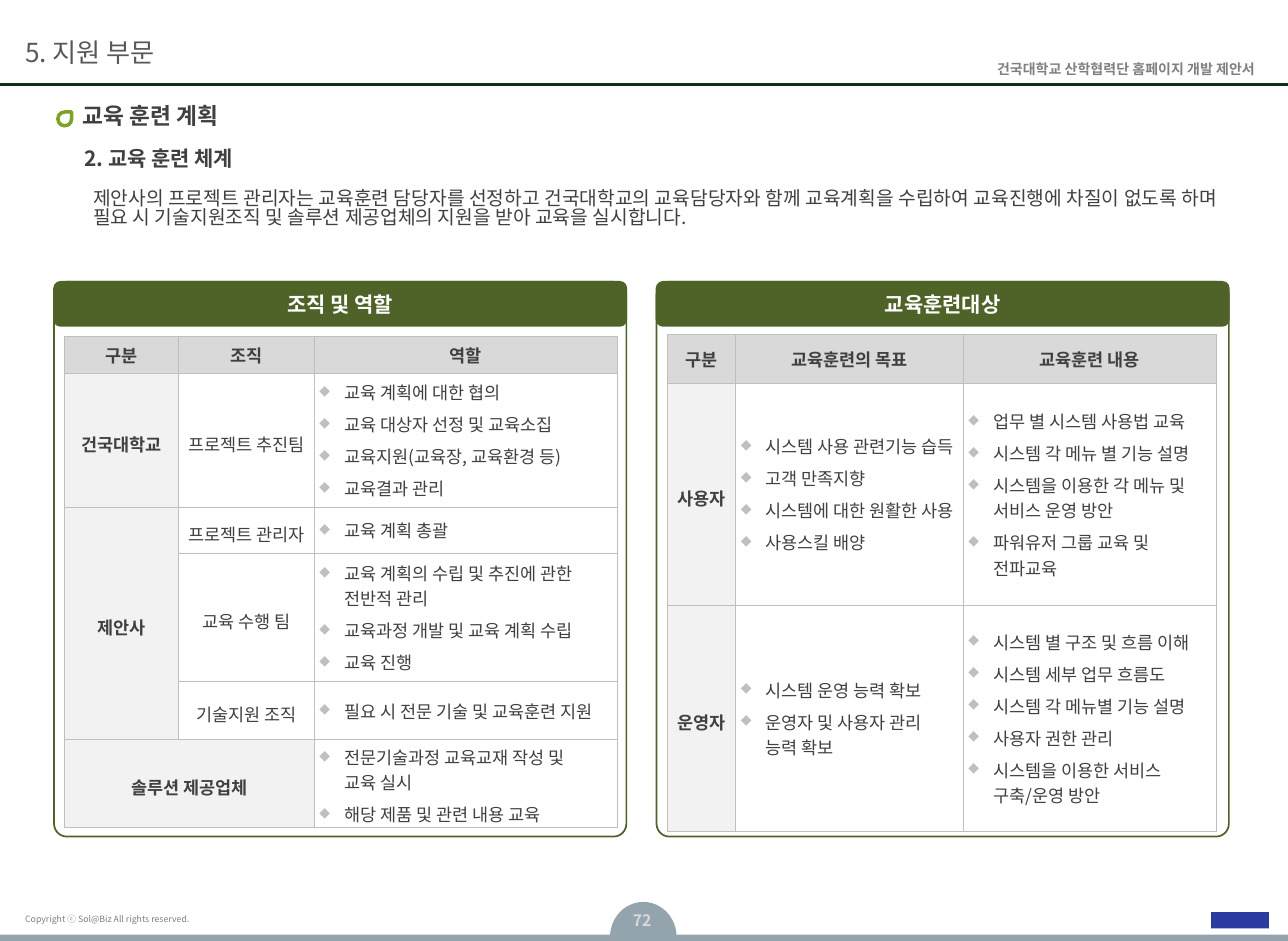
from lxml import etree
from pptx import Presentation
from pptx.dml.color import RGBColor
from pptx.enum.shapes import MSO_CONNECTOR, MSO_SHAPE
from pptx.enum.text import MSO_ANCHOR, PP_ALIGN
from pptx.oxml import parse_xml
from pptx.oxml.ns import nsdecls, qn
from pptx.util import Inches, Pt

LEFT, CENTER, RIGHT = PP_ALIGN.LEFT, PP_ALIGN.CENTER, PP_ALIGN.RIGHT
MIDDLE = MSO_ANCHOR.MIDDLE
RECT, ROUNDED = MSO_SHAPE.RECTANGLE, MSO_SHAPE.ROUNDED_RECTANGLE
CHORD, TEARDROP = MSO_SHAPE.CHORD, MSO_SHAPE.TEAR
STRAIGHT = MSO_CONNECTOR.STRAIGHT

KOREAN_FONT = "Noto Sans CJK KR"
INK, GRAY, SLATE, GREEN, WHITE = "404040", "808080", "93A4AE", "4F6228", "FFFFFF"
HEAD_FILL, LABEL_FILL, SOFT = "D9D9D9", "F2F2F2", "BFBFBF"

PANEL_TOP, PANEL_WIDTH = 2.24, 4.55

ROLES = [
    ["구분", "조직", "역할"],
    ["건국대학교", "프로젝트 추진팀",
     ["교육 계획에 대한 협의", "교육 대상자 선정 및 교육소집",
      "교육지원(교육장, 교육환경 등)", "교육결과 관리"]],
    ["제안사", "프로젝트 관리자", ["교육 계획 총괄"]],
    ["", "교육 수행 팀",
     ["교육 계획의 수립 및 추진에 관한 전반적 관리",
      "교육과정 개발 및 교육 계획 수립", "교육 진행"]],
    ["", "기술지원 조직", ["필요 시 전문 기술 및 교육훈련 지원"]],
    ["솔루션 제공업체", "",
     ["전문기술과정 교육교재 작성 및\n교육 실시", "해당 제품 및 관련 내용 교육"]],
]
TRAINEES = [
    ["구분", "교육훈련의 목표", "교육훈련 내용"],
    ["사용자",
     ["시스템 사용 관련기능 습득", "고객 만족지향",
      "시스템에 대한 원활한 사용", "사용스킬 배양"],
     ["업무 별 시스템 사용법 교육", "시스템 각 메뉴 별 기능 설명",
      "시스템을 이용한 각 메뉴 및\n서비스 운영 방안",
      "파워유저 그룹 교육 및 전파교육"]],
    ["운영자",
     ["시스템 운영 능력 확보", "운영자 및 사용자 관리\n능력 확보"],
     ["시스템 별 구조 및 흐름 이해", "시스템 세부 업무 흐름도",
      "시스템 각 메뉴별 기능 설명", "사용자 권한 관리",
      "시스템을 이용한 서비스\n구축/운영 방안"]],
]


def rgb(hex_color):
    return RGBColor.from_string(hex_color)


def add_text(paragraph, text, size, color=INK, bold=False, font=KOREAN_FONT):
    for i, line in enumerate(text.split("\n")):
        if i:
            paragraph.add_line_break()
        run = paragraph.add_run()
        run.text = line
        run.font.size, run.font.bold, run.font.name = Pt(size), bold, font
        run.font.color.rgb = rgb(color)
        east_asian = etree.SubElement(run.font._element, qn("a:ea"))
        east_asian.set("typeface", KOREAN_FONT)


def set_margins(box, side, vertical):
    box.margin_left = box.margin_right = Inches(side)
    box.margin_top = box.margin_bottom = Inches(vertical)


def add_label(slide, at, text, size, color=INK, bold=False, align=LEFT,
              font=KOREAN_FONT, spacing=None):
    frame = slide.shapes.add_textbox(*map(Inches, at)).text_frame
    frame.word_wrap = True
    set_margins(frame, 0, 0)
    paragraph = frame.paragraphs[0]
    paragraph.alignment, paragraph.line_spacing = align, spacing
    add_text(paragraph, text, size, color, bold, font)


def add_block(slide, kind, at, fill, line=None, width=1, adjustments=()):
    block = slide.shapes.add_shape(kind, *map(Inches, at))
    block.shadow.inherit = False
    block.fill.solid()
    block.fill.fore_color.rgb = rgb(fill)
    if line:
        block.line.color.rgb = rgb(line)
        block.line.width = Pt(width)
    else:
        block.line.fill.background()
    for i, value in enumerate(adjustments):
        block.adjustments[i] = value
    return block


def add_rule(slide, y, color, width):
    rule = slide.shapes.add_connector(
        STRAIGHT, 0, Inches(y), Inches(10.24), Inches(y))
    rule.line.color.rgb = rgb(color)
    rule.line.width = Pt(width)
    etree.SubElement(rule._element.spPr, qn("a:effectLst"))


def add_panel(slide, left, heading):
    add_block(slide, ROUNDED, (left, PANEL_TOP, PANEL_WIDTH, 4.41),
              WHITE, GREEN, adjustments=[0.023])
    bar = add_block(slide, ROUNDED, (left, PANEL_TOP, PANEL_WIDTH, 0.35),
                    GREEN, GREEN, adjustments=[0.15])
    bar.text_frame.vertical_anchor = MIDDLE
    paragraph = bar.text_frame.paragraphs[0]
    paragraph.alignment = CENTER
    add_text(paragraph, heading, 12, WHITE, True)


def add_bullet(paragraph):
    props = paragraph._p.get_or_add_pPr()
    props.set("marL", str(Inches(0.2)))
    props.set("indent", str(-Inches(0.2)))
    for xml in (f'<a:buClr {nsdecls("a")}><a:srgbClr val="{SOFT}"/></a:buClr>',
                f'<a:buSzPct {nsdecls("a")} val="80000"/>',
                f'<a:buChar {nsdecls("a")} char="◆"/>'):
        props.append(parse_xml(xml))


def style_cell(cell, fill):
    for side in ("lnL", "lnR", "lnT", "lnB"):
        cell._tc.get_or_add_tcPr().append(parse_xml(
            f'<a:{side} {nsdecls("a")} w="{Pt(0.5)}"><a:solidFill>'
            f'<a:srgbClr val="{SOFT}"/></a:solidFill></a:{side}>'))
    cell.fill.solid()
    cell.fill.fore_color.rgb = rgb(fill)
    cell.vertical_anchor = MIDDLE
    set_margins(cell, 0.04, 0.04)


def fill_cell(cell, content, is_head, is_label):
    style_cell(cell, HEAD_FILL if is_head else LABEL_FILL if is_label else WHITE)
    frame = cell.text_frame
    if isinstance(content, list):
        for i, item in enumerate(content):
            paragraph = frame.add_paragraph() if i else frame.paragraphs[0]
            add_bullet(paragraph)
            if i:
                paragraph.space_before = Pt(3.9)
            add_text(paragraph, item, 10)
    elif content:
        paragraph = frame.paragraphs[0]
        paragraph.alignment = CENTER
        if not is_head:
            paragraph.line_spacing = 1.3
        add_text(paragraph, content, 10, bold=is_head or is_label)


def add_grid(slide, left, top, widths, heights, rows, merges=()):
    table = slide.shapes.add_table(
        len(rows), len(widths), Inches(left), Inches(top),
        Inches(sum(widths)), Inches(sum(heights))).table
    for column, width in zip(table.columns, widths):
        column.width = Inches(width)
    for row, height in zip(table.rows, heights):
        row.height = Inches(height)
    for start, end in merges:
        table.cell(*start).merge(table.cell(*end))
    for r, row in enumerate(rows):
        for c, content in enumerate(row):
            fill_cell(table.cell(r, c), content, r == 0, c == 0)


def main():
    prs = Presentation()
    prs.slide_width, prs.slide_height = Inches(10.24), Inches(7.48)
    slide = prs.slides.add_slide(prs.slide_layouts[6])

    # Footer
    add_block(slide, CHORD, (4.85, 7.17, 0.53, 0.56), SLATE,
              adjustments=[108.411, 214.657])
    add_label(slide, (0.2, 7.26, 2.5, 0.12),
              "Copyright ⓒ Sol@Biz All rights reserved.", 5, GRAY)
    add_block(slide, RECT, (0, 7.43, 10.24, 0.05), SLATE)
    add_label(slide, (4.85, 7.24, 0.51, 0.19), "72", 9, HEAD_FILL, True, CENTER)
    add_block(slide, RECT, (9.63, 7.25, 0.46, 0.13), "293B9F")

    # Page header
    add_rule(slide, 0.67, "093019", 1.5)
    add_label(slide, (7.47, 0.48, 2.51, 0.17),
              "건국대학교 산학협력단 홈페이지 개발 제안서", 8, GRAY, True, RIGHT, "Arial")
    add_label(slide, (0.2, 0.29, 6, 0.3), "5. 지원 부문", 15, "595959")

    # Section headings and introduction
    add_block(slide, TEARDROP, (0.46, 0.89, 0.11, 0.11), WHITE, "7CA228", 2)
    add_label(slide, (0.66, 0.81, 9.5, 0.28), "교육 훈련 계획", 13, bold=True)
    add_label(slide, (0.67, 1.16, 5.07, 0.24), "2. 교육 훈련 체계", 12, bold=True)
    add_label(slide, (0.74, 1.51, 9.06, 0.4),
              "제안사의 프로젝트 관리자는 교육훈련 담당자를 선정하고 건국대학교의 "
              "교육담당자와 함께 교육계획을 수립하여 교육진행에 차질이 없도록 하며 "
              "필요 시 기술지원조직 및 솔루션 제공업체의 지원을 받아 교육을 실시합니다.",
              11, spacing=0.83)

    # Organisation and roles
    add_panel(slide, 0.43, "조직 및 역할")
    add_grid(slide, 0.51, 2.67, [0.91, 1.08, 2.41],
             [0.3, 1.06, 0.37, 1.02, 0.46, 0.7], ROLES,
             [((2, 0), (4, 0)), ((5, 0), (5, 1))])

    # Training audience
    add_panel(slide, 5.22, "교육훈련대상")
    add_grid(slide, 5.31, 2.66, [0.54, 1.81, 2.01], [0.39, 1.76, 1.8], TRAINEES)

    prs.save("out.pptx")


if __name__ == "__main__":
    main()
